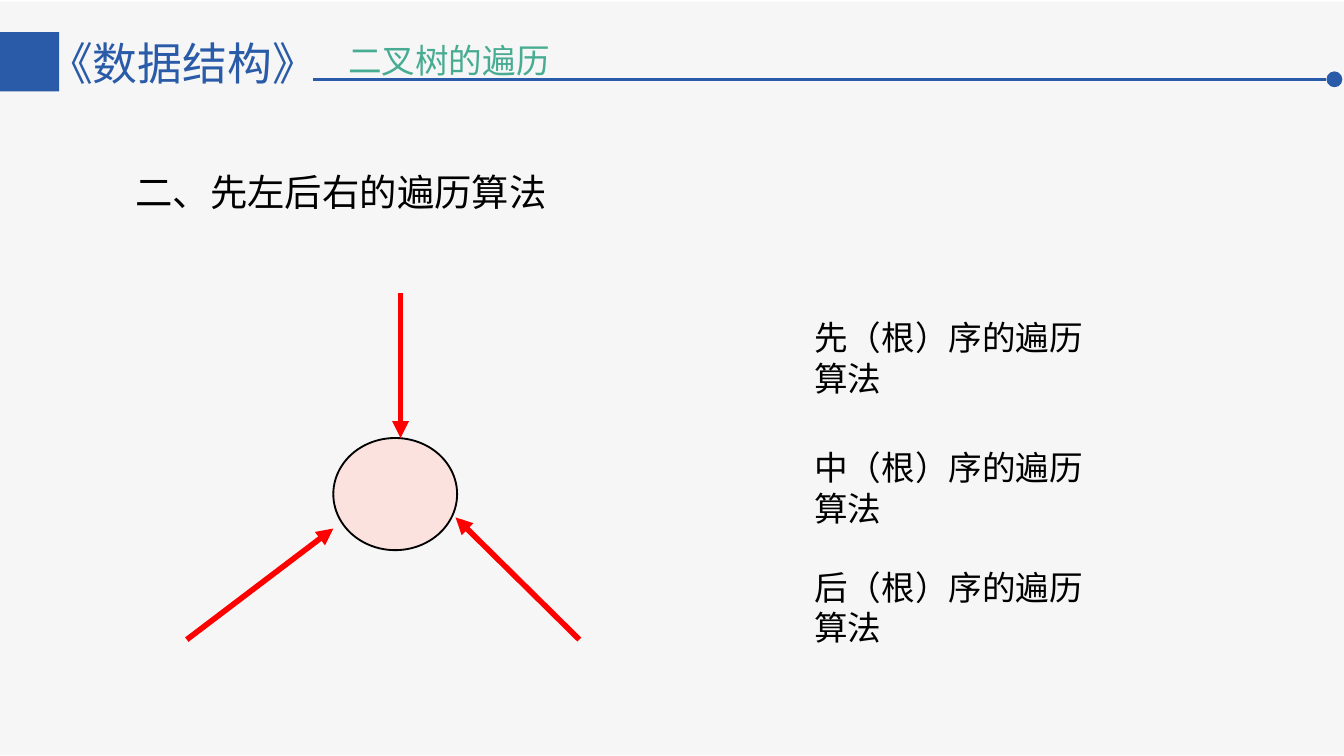
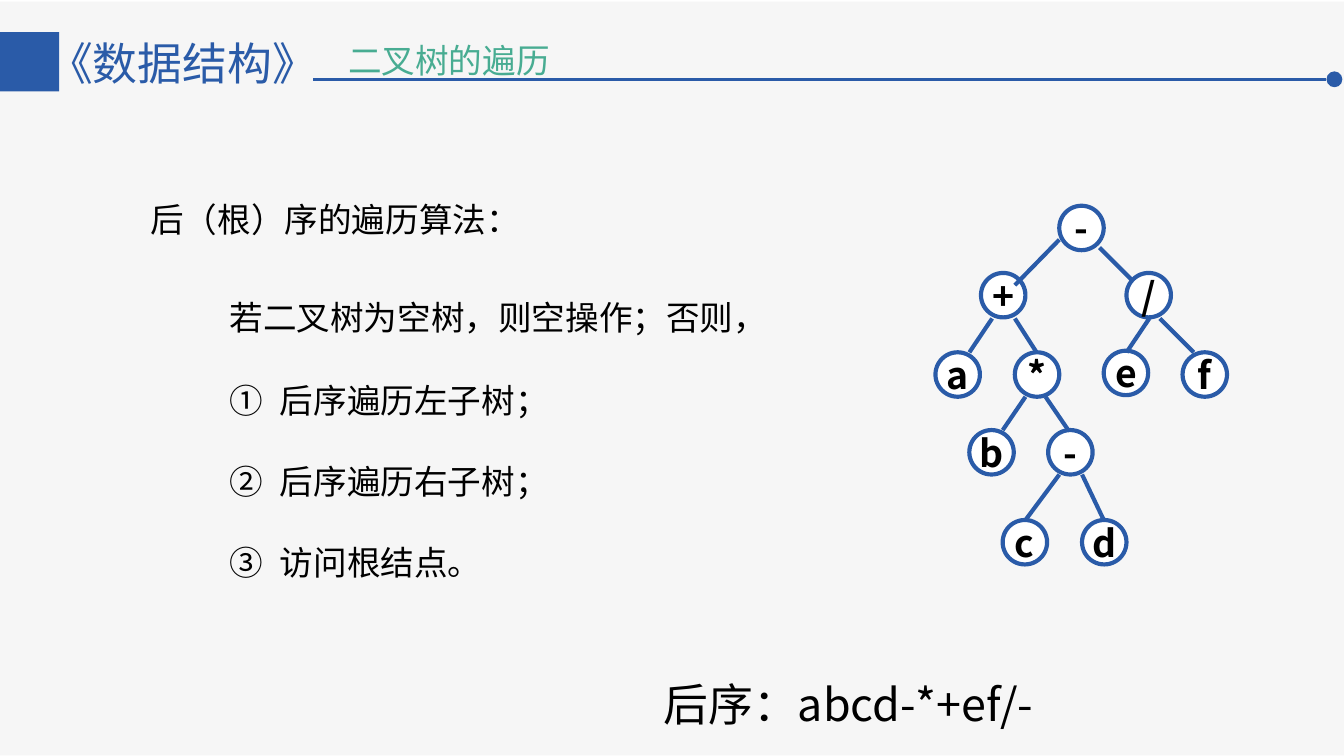
import pptx
import pptx.dml.color
import pptx.enum.shapes
import pptx.enum.text
import pptx.oxml
import pptx.oxml.ns
import pptx.util
from pptx.util import Cm

FONT = "Noto Sans CJK JP"
BLUE, GREEN, RED = "2A5BA8", "48AC92", "FF0000"
BLACK, WHITE, PALE_GREY, PALE_PINK = "000000", "FFFFFF", "F6F6F6", "FBE2DF"
SLIDE_WIDTH, SLIDE_HEIGHT = 25.4, 14.29
RECTANGLE = pptx.enum.shapes.MSO_SHAPE.RECTANGLE
OVAL = pptx.enum.shapes.MSO_SHAPE.OVAL


def color(hex_string):
    return pptx.dml.color.RGBColor.from_string(hex_string)


def add_xml(parent, tag, **attributes):
    element = pptx.oxml.parse_xml(f"<{tag} {pptx.oxml.ns.nsdecls('a')}/>")
    for name, value in attributes.items():
        element.set(name, value)
    parent.append(element)
    return element


def format_text(text_frame, size, hex_string, bold=False, line_spacing=None):
    for paragraph in text_frame.paragraphs:
        if line_spacing:
            paragraph.line_spacing = line_spacing
        for run in paragraph.runs:
            run.font.size = pptx.util.Pt(size)
            run.font.bold = bold
            run.font.color.rgb = color(hex_string)
            run.font.name = FONT
            add_xml(run.font._element, "a:ea", typeface=FONT)


def add_text(slide, box, text, size, hex_string=BLACK, line_spacing=None):
    shape = slide.shapes.add_textbox(*map(Cm, box))
    shape.text_frame.word_wrap = True
    shape.text_frame.text = text
    format_text(shape.text_frame, size, hex_string, line_spacing=line_spacing)
    return shape


def add_filled(shapes, kind, box, fill, line=None, line_width=1):
    shape = shapes.add_shape(kind, *map(Cm, box))
    shape.shadow.inherit = False
    shape.fill.solid()
    shape.fill.fore_color.rgb = color(fill)
    if line:
        shape.line.color.rgb = color(line)
        shape.line.width = pptx.util.Pt(line_width)
    else:
        shape.line.fill.background()
    return shape


def add_line(shapes, start, end, hex_string, width, arrow=False):
    connector = shapes.add_connector(
        pptx.enum.shapes.MSO_CONNECTOR.STRAIGHT, *map(Cm, (*start, *end)))
    connector.line.color.rgb = color(hex_string)
    connector.line.width = pptx.util.Pt(width)
    if arrow:
        add_xml(connector.line._get_or_add_ln(), "a:tailEnd", type="triangle")
    add_xml(connector._element.spPr, "a:effectLst")


def add_header(slide, left, top, width):
    add_text(slide, (left + 0.66, top - 0.05, 5.74, 1.27), "《数据结构》", 24, BLUE)
    add_filled(slide.shapes, RECTANGLE, (left, top, 1.12, 1.12), BLUE)
    topic = add_text(slide, (left + 6.4, top + 0.05, 7.8, 1), "二叉树的遍历", 18, GREEN)
    frame = topic.text_frame
    frame.margin_left = frame.margin_right = Cm(0.18)
    frame.margin_top = frame.margin_bottom = Cm(0.1)
    # Rule that ends in a dot at the right edge
    rule = slide.shapes.add_group_shape().shapes
    dot, right = 0.3, left + width - 0.03
    rule_top = top + 0.89
    add_line(rule, (left + 5.92, rule_top), (right - dot, rule_top), BLUE, 1.75)
    add_filled(rule, OVAL, (right - dot, rule_top - dot / 2, dot, dot), BLUE)


def add_base_slide(presentation):
    slide = presentation.slides.add_slide(presentation.slide_layouts[6])
    add_filled(slide.shapes, RECTANGLE, (0, 0.03, SLIDE_WIDTH, SLIDE_HEIGHT - 0.04), PALE_GREY)
    add_header(slide, 0, 0.61, SLIDE_WIDTH)
    return slide


def add_visit_diagram(slide, left, top):
    """Root node with one arrow for each visit."""
    add_filled(slide.shapes, OVAL, (left + 2.77, top + 2.74, 2.34, 2.12), PALE_PINK, BLACK)
    arrows = [((4.04, 0), (4.04, 2.74)),
              ((0, 6.55), (2.77, 4.45)),
              ((7.42, 6.55), (5.08, 4.24))]
    for (x1, y1), (x2, y2) in arrows:
        add_line(slide.shapes, (left + x1, top + y1), (left + x2, top + y2), RED, 3, arrow=True)


def add_order_labels(slide, left, top):
    for order, offset in (("先", 0), ("中", 2.46), ("后", 4.72)):
        add_text(slide, (left, top + offset, 6.07, 1.02), f"{order}（根）序的遍历算法", 18)


def add_steps(slide, left, top):
    add_text(slide, (left, top, 12.88, 1.3), "后（根）序的遍历算法：", 18, line_spacing=1.5)
    add_text(slide, (left + 1.5, top + 1.47, 20.22, 1.57),
             "若二叉树为空树，则空操作；否则，", 18, line_spacing=2)
    # Circled numbers with a hanging indent
    steps = add_text(slide, (left + 1.5, top + 3.05, 8.74, 4.65),
                     "后序遍历左子树；\n后序遍历右子树；\n访问根结点。", 18, line_spacing=2)
    for paragraph in steps.text_frame.paragraphs:
        properties = paragraph._element.get_or_add_pPr()
        properties.set("marL", str(Cm(0.95)))
        properties.set("indent", str(-Cm(0.95)))
        add_xml(properties, "a:buFont", typeface=FONT)
        add_xml(properties, "a:buAutoNum", type="circleNumDbPlain")


def add_expression_tree(slide, left, top):
    diameter = 0.84
    nodes = [("-", 2.34, 0), ("+", 0.86, 1.27), ("/", 3.61, 1.27),
             ("e", 3.18, 2.74), ("*", 1.5, 2.77), ("a", 0, 2.77), ("f", 4.67, 2.77),
             ("b", 0.64, 4.24), ("-", 2.13, 4.24), ("c", 1.27, 5.94), ("d", 2.77, 5.94)]
    branches = [((2.34, 0.64), (1.5, 1.5)), ((3.1, 0.79), (3.73, 1.42)),
                ((1.07, 2.13), (0.64, 2.77)), ((1.5, 2.13), (1.91, 2.77)),
                ((1.7, 3.61), (1.27, 4.24)), ((2.08, 3.61), (2.51, 4.24)),
                ((4.04, 2.13), (3.61, 2.77)), ((4.24, 2.13), (4.88, 2.77)),
                ((2.34, 5.08), (1.7, 5.94)), ((2.77, 5.08), (3.18, 5.94))]
    tree = slide.shapes.add_group_shape().shapes
    for label, x, y in nodes:
        node = add_filled(tree, OVAL, (left + x, top + y, diameter, diameter), WHITE, BLUE, 2.25)
        frame = node.text_frame
        frame.word_wrap = False
        frame.vertical_anchor = pptx.enum.text.MSO_ANCHOR.MIDDLE
        frame.text = label
        frame.paragraphs[0].alignment = pptx.enum.text.PP_ALIGN.CENTER
        format_text(frame, 20, BLACK, bold=True)
    for (x1, y1), (x2, y2) in branches:
        add_line(tree, (left + x1, top + y1), (left + x2, top + y2), BLUE, 2.25)


def add_overview_slide(presentation):
    slide = add_base_slide(presentation)
    add_text(slide, (2.31, 3.07, 8.4, 1.12), "二、先左后右的遍历算法", 20)
    add_order_labels(slide, 15.14, 5.87)
    add_visit_diagram(slide, 3.53, 5.54)


def add_postorder_slide(presentation):
    slide = add_base_slide(presentation)
    add_steps(slide, 2.59, 3.25)
    add_expression_tree(slide, 17.68, 3.89)
    # Result of the traversal
    add_text(slide, (12.29, 11.66, 10.9, 1.98), "后序：abcd-*+ef/-", 24, line_spacing=2)


def main():
    presentation = pptx.Presentation()
    presentation.slide_width = Cm(SLIDE_WIDTH)
    presentation.slide_height = Cm(SLIDE_HEIGHT)
    add_overview_slide(presentation)
    add_postorder_slide(presentation)
    presentation.save("out.pptx")


if __name__ == "__main__":
    main()
